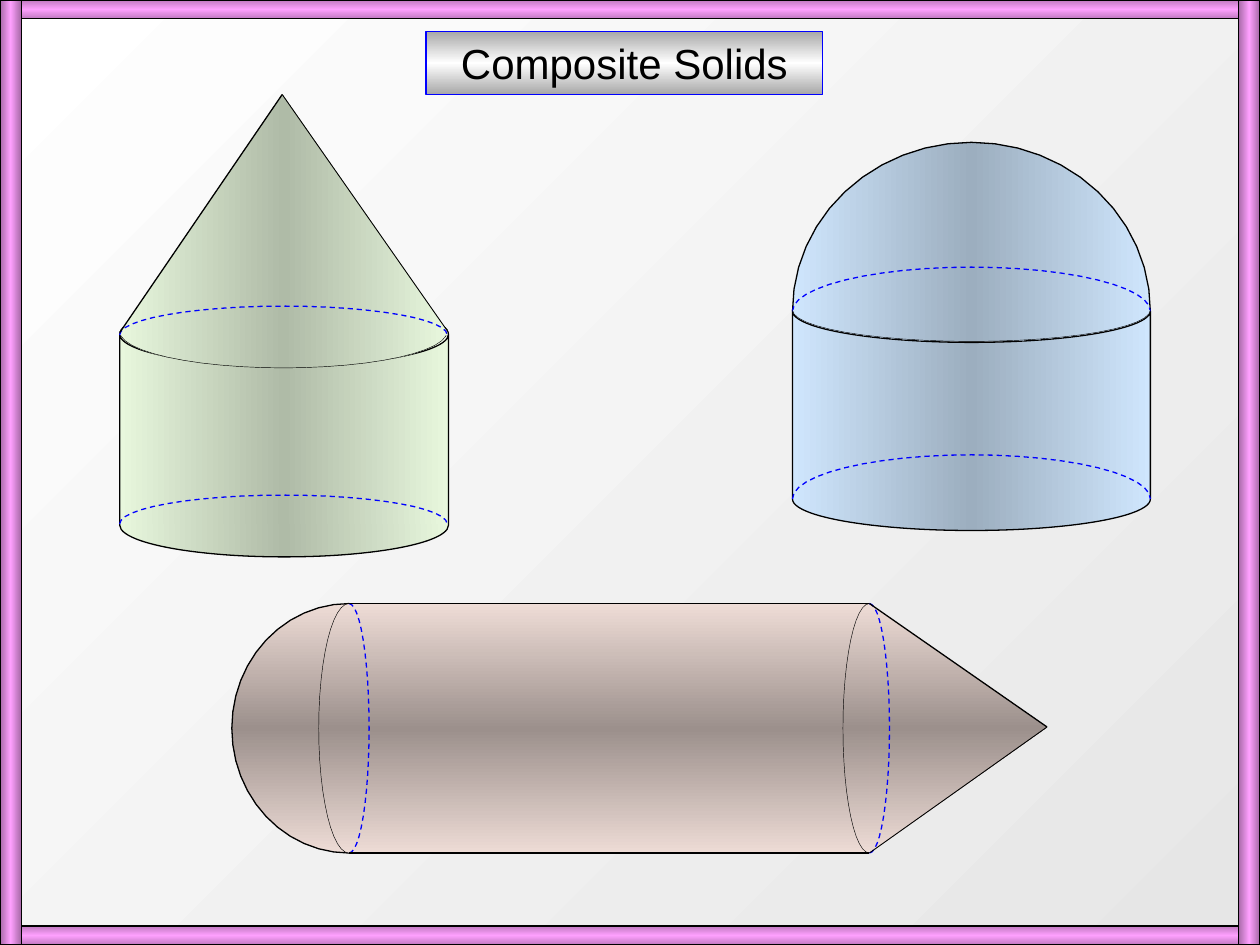
"""Build a slide showing three composite solids inside a purple frame."""
from copy import deepcopy
from math import cos, radians, sin
from typing import NamedTuple

from pptx import Presentation
from pptx.dml.color import RGBColor
from pptx.dml.fill import FillFormat
from pptx.enum.dml import MSO_LINE
from pptx.enum.shapes import MSO_CONNECTOR, MSO_SHAPE
from pptx.enum.text import MSO_ANCHOR, PP_ALIGN
from pptx.oxml import parse_xml
from pptx.oxml.ns import nsdecls, qn
from pptx.shapes.autoshape import Shape
from pptx.shapes.shapetree import GroupShapes, SlideShapes
from pptx.util import Inches, Pt

DASH = MSO_LINE.DASH
STRAIGHT = MSO_CONNECTOR.STRAIGHT
RECTANGLE, CAN = MSO_SHAPE.RECTANGLE, MSO_SHAPE.CAN
CENTER, MIDDLE = PP_ALIGN.CENTER, MSO_ANCHOR.MIDDLE
BLACK, BLUE = "000000", "0000FF"
RIGHT, BELOW, LEFT, ABOVE = -90, 0, 90, 180
ARC_STEPS = 24


class Shade(NamedTuple):
    edge: str
    middle: str
    angle: int


class Stroke(NamedTuple):
    color: str
    width: float
    dashed: bool = False


class Box(NamedTuple):
    left: float
    top: float
    width: float
    height: float


class Point(NamedTuple):
    x: float
    y: float


class Arc(NamedTuple):
    center: Point
    radius_x: float
    radius_y: float
    start: int
    stroke: Stroke


class Edge(NamedTuple):
    begin: Point
    end: Point
    width: float = 0.75


class Solid(NamedTuple):
    shade: Shade
    body: MSO_SHAPE
    body_box: Box
    body_stroke: Stroke | None
    cone: list[Point]
    arcs: list[Arc]
    edges: list[Edge]


OUTLINE = Stroke(BLACK, 0.75)
VISIBLE = Stroke(BLACK, 0.25)
HIDDEN = Stroke(BLUE, 0.75, True)

GREEN_LEFT, GREEN_RIGHT, GREEN_TIP = Point(0.95, 2.64), Point(3.56, 2.64), Point(2.24, 0.75)
PINK_TOP, PINK_BOTTOM, PINK_TIP = Point(6.9, 4.79), Point(6.9, 6.77), Point(8.31, 5.77)
PINK_CAP, PINK_JOINT = Point(2.77, 5.78), Point(6.9, 5.78)

SOLIDS = [
    Solid(
        Shade("E8F7DD", "AFBBA7", 180), CAN, Box(0.95, 2.4, 2.61, 2.02), OUTLINE,
        [GREEN_LEFT, GREEN_RIGHT, GREEN_TIP],
        [
            Arc(Point(2.25, 2.63), 1.3, 0.29, BELOW, VISIBLE),
            Arc(Point(2.25, 2.66), 1.3, 0.23, ABOVE, HIDDEN),
            Arc(Point(2.25, 4.16), 1.3, 0.23, ABOVE, HIDDEN),
        ],
        [Edge(GREEN_LEFT, GREEN_TIP), Edge(GREEN_TIP, GREEN_RIGHT, 0.5)],
    ),
    Solid(
        Shade("CFE6FD", "9CAEBF", 180), CAN, Box(6.29, 2.22, 2.84, 1.99), OUTLINE,
        [],
        [
            Arc(Point(7.71, 2.47), 1.42, 1.34, ABOVE, OUTLINE),
            Arc(Point(7.71, 2.47), 1.42, 0.35, ABOVE, HIDDEN),
            Arc(Point(7.71, 2.46), 1.42, 0.25, BELOW, VISIBLE),
            Arc(Point(7.71, 3.96), 1.42, 0.35, ABOVE, HIDDEN),
        ],
        [],
    ),
    Solid(
        Shade("EEDCD6", "9C908C", 90), RECTANGLE, Box(2.76, 4.79, 4.13, 1.99), None,
        [PINK_TOP, PINK_BOTTOM, PINK_TIP],
        [
            Arc(PINK_CAP, 0.93, 0.99, LEFT, OUTLINE),
            Arc(PINK_CAP, 0.24, 0.99, LEFT, VISIBLE),
            Arc(PINK_CAP, 0.16, 0.99, RIGHT, HIDDEN),
            Arc(PINK_JOINT, 0.21, 0.99, LEFT, VISIBLE),
            Arc(PINK_JOINT, 0.16, 0.99, RIGHT, HIDDEN),
        ],
        [
            Edge(Point(2.77, 4.79), PINK_TOP),
            Edge(Point(2.77, 6.77), PINK_BOTTOM),
            Edge(PINK_TOP, PINK_TIP),
            Edge(PINK_TIP, PINK_BOTTOM, 0.5),
        ],
    ),
]

RAIL = Shade("C079C0", "FEA0FE", 90)
POST = Shade("A769A7", "FEA0FE", 180)
FRAME = [
    (Box(0, 0, 10, 0.15), RAIL),
    (Box(0, 7.35, 10, 0.15), RAIL),
    (Box(0, 0, 0.17, 7.5), POST),
    (Box(9.83, 0, 0.17, 7.5), POST),
]


def rgb(color: str) -> RGBColor:
    """Turn a hex string into a colour."""
    return RGBColor.from_string(color)


def paint_gradient(fill: FillFormat, first: str, last: str, angle: int) -> None:
    """Give a fill a two-colour gradient with a clockwise angle."""
    fill.gradient()
    fill.gradient_angle = (360 - angle) % 360
    for stop, color, position in zip(fill.gradient_stops, (first, last), (0, 1)):
        stop.color.rgb = rgb(color)
        stop.position = position


def apply_style(shape: Shape, shade: Shade, stroke: Stroke | None) -> None:
    """Shade a shape symmetrically and set its outline."""
    shape.shadow.inherit = False
    paint_gradient(shape.fill, shade.edge, shade.middle, shade.angle)
    stops = shape.element.spPr.find(f".//{qn('a:gsLst')}")
    stops.append(deepcopy(stops[0]))
    for stop, position in zip(shape.fill.gradient_stops, (0, 0.5, 1)):
        stop.position = position
    if stroke is None:
        shape.line.fill.background()
        return
    shape.line.color.rgb = rgb(stroke.color)
    shape.line.width = Pt(stroke.width)
    if stroke.dashed:
        shape.line.dash_style = DASH


def add_preset(shapes: SlideShapes | GroupShapes, kind: MSO_SHAPE, box: Box,
               shade: Shade, stroke: Stroke | None) -> Shape:
    """Add a shaded preset shape."""
    shape = shapes.add_shape(kind, *(Inches(length) for length in box))
    apply_style(shape, shade, stroke)
    return shape


def add_outline(shapes: GroupShapes, points: list[Point], shade: Shade,
                stroke: Stroke | None, close: bool) -> None:
    """Add a shaded freeform through the points."""
    corners = [(Inches(point.x), Inches(point.y)) for point in points]
    builder = shapes.build_freeform(*corners[0])
    builder.add_line_segments(corners[1:], close=close)
    apply_style(builder.convert_to_shape(), shade, stroke)


def arc_points(arc: Arc) -> list[Point]:
    """Sample half an ellipse clockwise from its start angle."""
    angles = [radians(arc.start + 180 * step / ARC_STEPS) for step in range(ARC_STEPS + 1)]
    return [Point(arc.center.x + arc.radius_x * cos(angle),
                  arc.center.y + arc.radius_y * sin(angle)) for angle in angles]


def add_edge(shapes: GroupShapes, edge: Edge) -> None:
    """Add a straight black edge."""
    ends = (Inches(length) for length in (*edge.begin, *edge.end))
    connector = shapes.add_connector(STRAIGHT, *ends)
    connector.line.color.rgb = rgb(BLACK)
    connector.line.width = Pt(edge.width)
    connector.element.spPr.append(parse_xml(f"<a:effectLst {nsdecls('a')}/>"))


def add_solid(shapes: SlideShapes, solid: Solid) -> None:
    """Add one composite solid as a group."""
    parts = shapes.add_group_shape().shapes
    add_preset(parts, solid.body, solid.body_box, solid.shade, solid.body_stroke)
    if solid.cone:
        add_outline(parts, solid.cone, solid.shade, None, True)
    for arc in solid.arcs:
        add_outline(parts, arc_points(arc), solid.shade, arc.stroke, False)
    for edge in solid.edges:
        add_edge(parts, edge)


def add_title(shapes: SlideShapes) -> None:
    """Add the title plate."""
    plate = add_preset(shapes, RECTANGLE, Box(3.38, 0.25, 3.15, 0.5),
                       Shade("A8A8A8", "FFFFFF", 90), Stroke(BLUE, 0.75))
    plate.text_frame.word_wrap = True
    plate.text_frame.vertical_anchor = MIDDLE
    paragraph = plate.text_frame.paragraphs[0]
    paragraph.alignment = CENTER
    run = paragraph.add_run()
    run.text = "Composite Solids"
    run.font.name = "Arial"
    run.font.size = Pt(24)
    run.font.color.rgb = rgb(BLACK)


def main() -> None:
    """Build and save the presentation."""
    presentation = Presentation()
    presentation.slide_width, presentation.slide_height = Inches(10), Inches(7.5)
    slide = presentation.slides.add_slide(presentation.slide_layouts[6])
    paint_gradient(slide.background.fill, "E6E6E6", "FFFFFF", 225)
    for solid in SOLIDS:
        add_solid(slide.shapes, solid)
    add_title(slide.shapes)
    for box, shade in FRAME:
        add_preset(slide.shapes, RECTANGLE, box, shade, OUTLINE)
    presentation.save("out.pptx")


if __name__ == "__main__":
    main()
